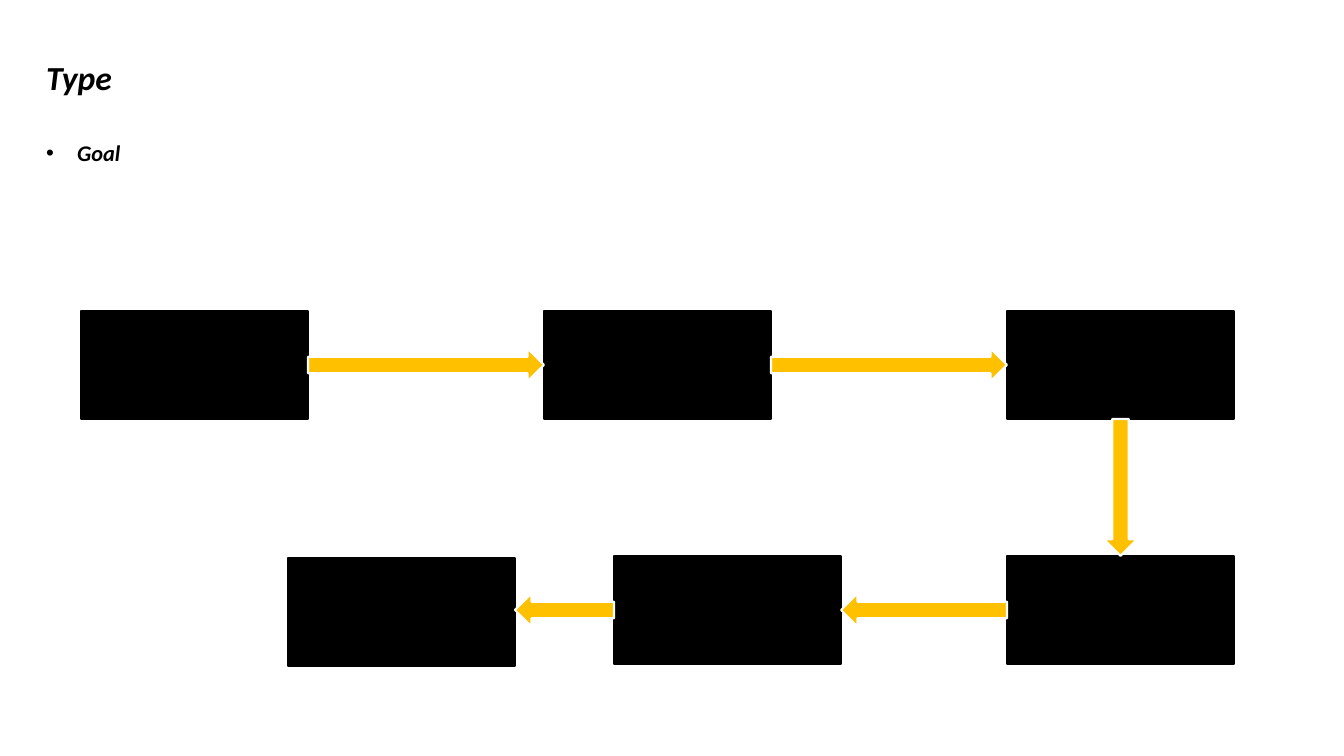
from dataclasses import dataclass

import pptx
import pptx.dml.color
import pptx.enum.shapes
import pptx.enum.text
import pptx.oxml.ns
import pptx.util
from lxml import etree

MSO_SHAPE = pptx.enum.shapes.MSO_SHAPE


@dataclass(frozen=True)
class Theme:
    font: str = "Calibri"
    ink: str = "000000"
    arrow: str = "FFC000"
    arrow_edge: str = "FFFFFF"
    title_size: int = 24
    body_size: int = 16
    box_line: float = 1
    arrow_line: float = 1.5


@dataclass(frozen=True)
class Box:
    left: int
    top: int
    width: int = 227
    height: int = 108

    @property
    def right(self) -> int:
        return self.left + self.width

    @property
    def bottom(self) -> int:
        return self.top + self.height

    @property
    def mid_x(self) -> float:
        return self.left + self.width / 2

    @property
    def mid_y(self) -> float:
        return self.top + self.height / 2


THEME = Theme()
ARROW_THICKNESS = 33
TOP_ROW, BOTTOM_ROW = 311, 556
STEPS = [
    Box(81, TOP_ROW),
    Box(544, TOP_ROW),
    Box(1007, TOP_ROW),
    Box(1007, BOTTOM_ROW),
    Box(614, BOTTOM_ROW),
    Box(288, BOTTOM_ROW + 2),
]
TITLE_AREA = Box(36, 52, 1197, 51)
GOAL_AREA = Box(36, 134, 1197, 40)


def px(value: float) -> int:
    return round(value * 914400 / 100.8)


def rgb(value: str) -> pptx.dml.color.RGBColor:
    return pptx.dml.color.RGBColor.from_string(value)


def add_block(shapes, kind, area: Box, fill: str, edge: str, weight: float):
    sp = shapes.add_shape(kind, px(area.left), px(area.top), px(area.width), px(area.height))
    sp.shadow.inherit = False
    sp.fill.solid()
    sp.fill.fore_color.rgb = rgb(fill)
    sp.line.color.rgb = rgb(edge)
    sp.line.width = pptx.util.Pt(weight)
    return sp


def add_arrow(shapes, start: Box, end: Box) -> None:
    if start.left == end.left:
        x, y = start.mid_x, (start.bottom + end.top) / 2
        length, rotation = end.top - start.bottom, 90
    elif start.left < end.left:
        x, y = (start.right + end.left) / 2, start.mid_y
        length, rotation = end.left - start.right, 0
    else:
        x, y = (start.left + end.right) / 2, start.mid_y
        length, rotation = start.left - end.right, 180
    area = Box(x - length / 2, y - ARROW_THICKNESS / 2, length, ARROW_THICKNESS)
    sp = add_block(shapes, MSO_SHAPE.RIGHT_ARROW, area,
                   THEME.arrow, THEME.arrow_edge, THEME.arrow_line)
    sp.rotation = rotation


def fill_placeholder(sp, area: Box, text: str, size: int):
    sp.left, sp.top = px(area.left), px(area.top)
    sp.width, sp.height = px(area.width), px(area.height)
    tf = sp.text_frame
    tf.word_wrap = True
    tf.auto_size = pptx.enum.text.MSO_AUTO_SIZE.NONE
    tf.vertical_anchor = pptx.enum.text.MSO_ANCHOR.TOP
    p = tf.paragraphs[0]
    p.alignment = pptx.enum.text.PP_ALIGN.LEFT
    p.space_before = pptx.util.Pt(0)
    r = p.add_run()
    r.text = text
    r.font.name = THEME.font
    r.font.size = pptx.util.Pt(size)
    r.font.bold = r.font.italic = True
    r.font.color.rgb = rgb(THEME.ink)
    return p


def add_bullet(p, indent: int) -> None:
    pPr = p._p.get_or_add_pPr()
    pPr.set("marL", str(px(indent)))
    pPr.set("indent", str(-px(indent)))
    etree.SubElement(pPr, pptx.oxml.ns.qn("a:buFont")).set("typeface", "Arial")
    etree.SubElement(pPr, pptx.oxml.ns.qn("a:buChar")).set("char", "•")


def main() -> None:
    """Build the process slide and save it."""
    prs = pptx.Presentation()
    prs.slide_width, prs.slide_height = px(1344), px(756)
    s = prs.slides.add_slide(prs.slide_layouts[1])
    fill_placeholder(s.shapes.title, TITLE_AREA, "Type", THEME.title_size)
    p = fill_placeholder(s.placeholders[1], GOAL_AREA, "Goal", THEME.body_size)
    add_bullet(p, 31)
    for step in STEPS:
        add_block(s.shapes, MSO_SHAPE.RECTANGLE, step, THEME.ink, THEME.ink, THEME.box_line)
    for start, end in zip(STEPS, STEPS[1:]):
        add_arrow(s.shapes, start, end)
    prs.save("out.pptx")


main()
